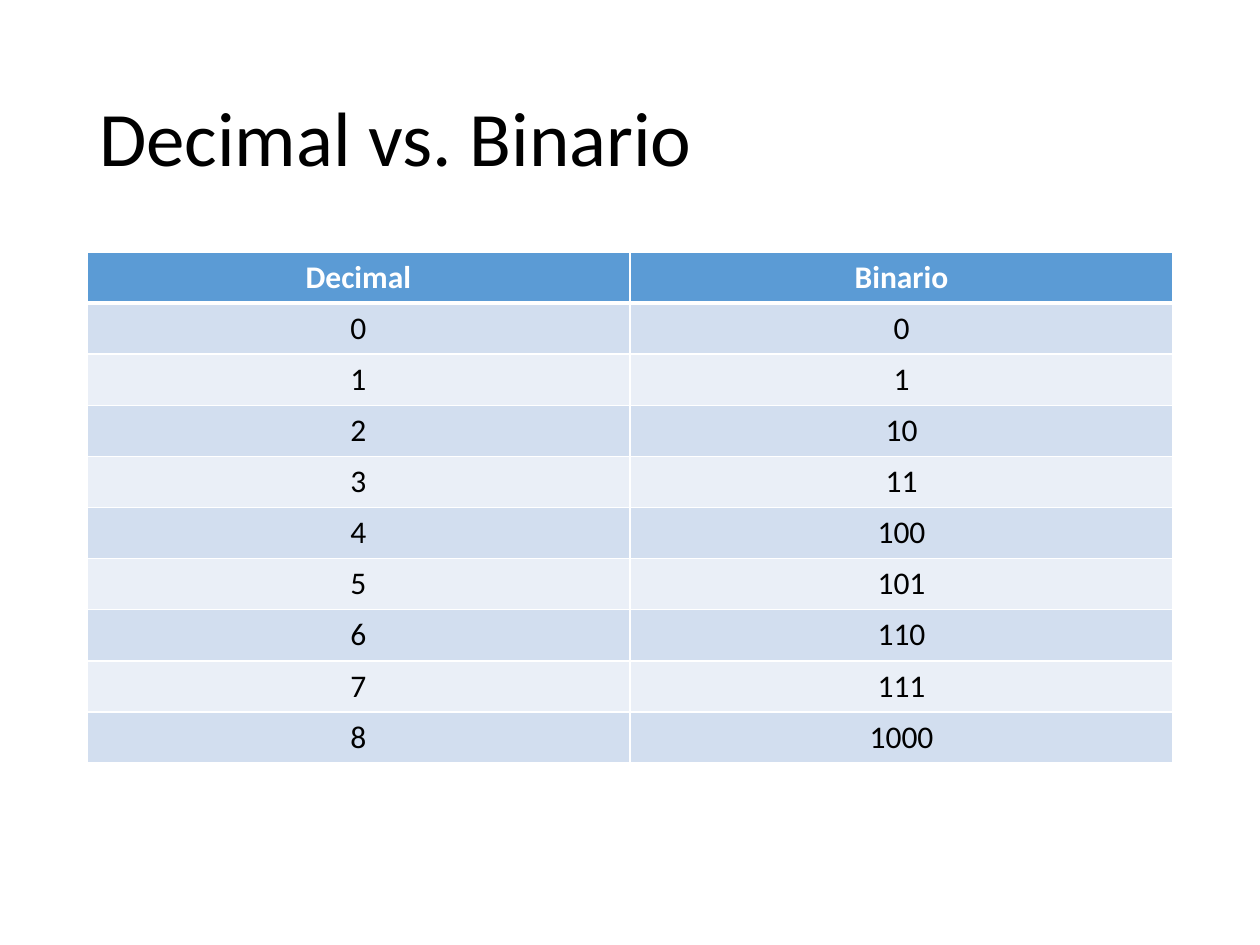
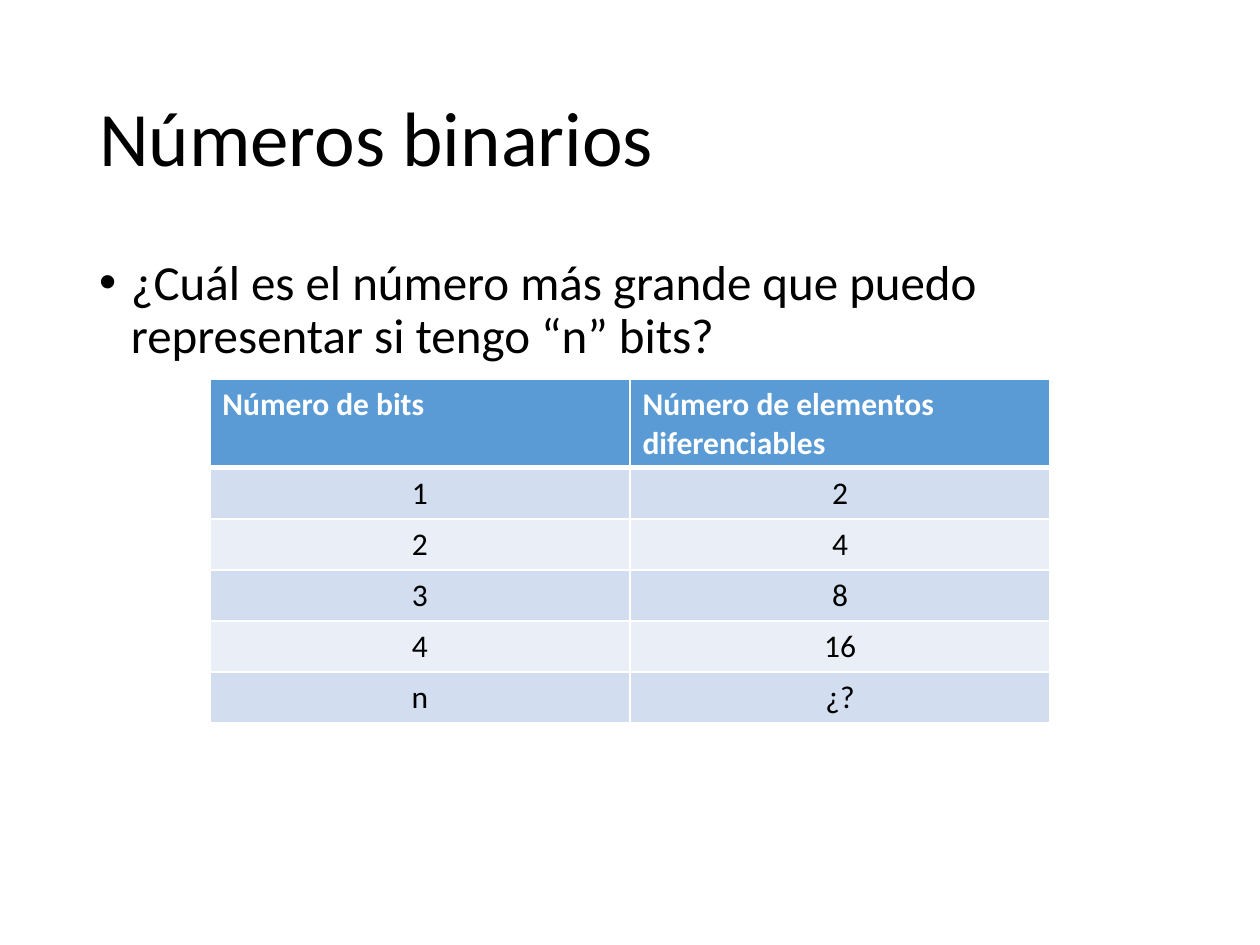
from lxml import etree
from pptx import Presentation
from pptx import util as u
from pptx.dml import color
from pptx.enum import text
from pptx.oxml import ns

BLACK, WHITE = "000000", "FFFFFF"
HEADER_BLUE, BANDS = "5B9BD5", ("D2DEEF", "EAEFF7")
LEFT, WIDTH = 1.75, 21.9
BODY_TOP = 5.08
ROW_HEIGHT = 1.03


def rgb(value):
    """Turn a hex string into a colour."""
    return color.RGBColor.from_string(value)


def apply(target, formats):
    """Set each attribute of a format dict on the target."""
    for name, value in formats.items():
        setattr(target, name, value)


def add_element(parent, tag, **attributes):
    """Append a DrawingML element to its parent."""
    return etree.SubElement(parent, ns.qn(tag), attributes)


class Deck:
    """Hold the shared style and the current slide."""

    font = "Calibri"
    title_format = {"size": u.Pt(44), "bold": False}
    question_format = {"size": u.Pt(28), "bold": False}
    header_format = {"size": u.Pt(18), "bold": True}
    value_format = {"size": u.Pt(18), "bold": False}

    def __init__(self):
        """Start a 4:3 presentation."""
        self.presentation = Presentation()
        apply(self.presentation, {"slide_width": u.Cm(25.4), "slide_height": u.Cm(19.05)})
        self.slide = None

    def start_slide(self, heading):
        """Add a blank slide with its heading."""
        self.slide = self.presentation.slides.add_slide(self.presentation.slide_layouts[6])
        paragraph = self.add_box(1.01, 3.68, text.MSO_ANCHOR.MIDDLE)
        self.add_words(paragraph, heading, self.title_format, line_spacing=0.9)

    def add_box(self, top, height, anchor):
        """Add a text box across the content width and return its paragraph."""
        box = self.slide.shapes.add_textbox(*map(u.Cm, (LEFT, top, WIDTH, height)))
        apply(box.text_frame, {"word_wrap": True, "vertical_anchor": anchor})
        return box.text_frame.paragraphs[0]

    def add_words(self, paragraph, words, formats, ink=BLACK, **layout):
        """Add one run with its font and paragraph layout."""
        apply(paragraph, layout)
        run = paragraph.add_run()
        run.text = words
        apply(run.font, {"name": self.font, **formats})
        run.font.color.rgb = rgb(ink)

    def add_question(self, words):
        """Add a bulleted question below the heading."""
        paragraph = self.add_box(BODY_TOP, 12.09, text.MSO_ANCHOR.TOP)
        properties = paragraph._p.get_or_add_pPr()
        indent = u.Cm(0.64)
        properties.set("marL", str(indent))
        properties.set("indent", str(-indent))
        add_element(properties, "a:buFont", typeface="Arial")
        add_element(properties, "a:buChar", char="•")
        self.add_words(paragraph, words, self.question_format, line_spacing=0.9)

    def add_borders(self, cell, row):
        """Draw white cell borders, thicker under the header row."""
        properties = cell._tc.get_or_add_tcPr()
        widths = {"L": 1, "R": 1, "T": 3 if row == 1 else 1, "B": 3 if row == 0 else 1}
        for side, width in widths.items():
            line = add_element(properties, f"a:ln{side}", w=str(u.Pt(width)))
            add_element(add_element(line, "a:solidFill"), "a:srgbClr", val=WHITE)

    def add_table(self, left, top, width, header, values, header_align):
        """Add a banded table of a header and centred values."""
        rows = [header, *values]
        grid = self.slide.shapes.add_table(
            len(rows), len(header),
            *map(u.Cm, (left, top, width, ROW_HEIGHT * len(rows)))).table
        for row, entries in enumerate(rows):
            grid.rows[row].height = u.Cm(ROW_HEIGHT)
            if row == 0:
                fill, ink, formats, align = HEADER_BLUE, WHITE, self.header_format, header_align
            else:
                fill, ink, formats = BANDS[(row - 1) % 2], BLACK, self.value_format
                align = text.PP_ALIGN.CENTER
            for column, entry in enumerate(entries):
                cell = grid.cell(row, column)
                self.add_borders(cell, row)
                cell.fill.solid()
                cell.fill.fore_color.rgb = rgb(fill)
                self.add_words(cell.text_frame.paragraphs[0], str(entry), formats, ink,
                               alignment=align)


def main():
    """Build the slides about binary numbers."""
    deck = Deck()

    deck.start_slide("Decimal vs. Binario")
    conversions = [(number, f"{number:b}") for number in range(9)]
    deck.add_table(LEFT, BODY_TOP, WIDTH, ("Decimal", "Binario"), conversions,
                   text.PP_ALIGN.CENTER)

    deck.start_slide("Números binarios")
    deck.add_question("¿Cuál es el número más grande que puedo representar si tengo “n” bits?")
    capacities = [(bits, 2 ** bits) for bits in range(1, 5)] + [("n", "¿?")]
    deck.add_table(4.23, 7.65, 16.94, ("Número de bits", "Número de elementos diferenciables"),
                   capacities, text.PP_ALIGN.LEFT)

    deck.presentation.save("out.pptx")


if __name__ == "__main__":
    main()
